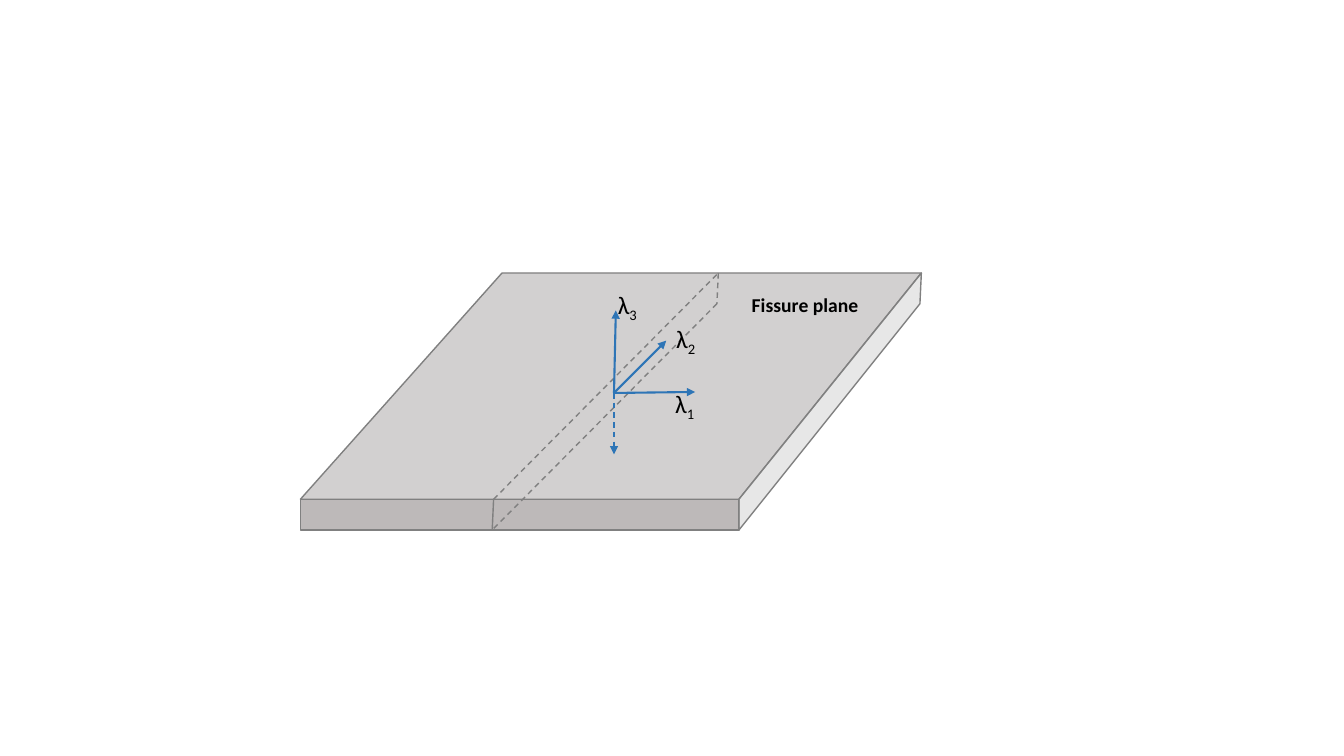
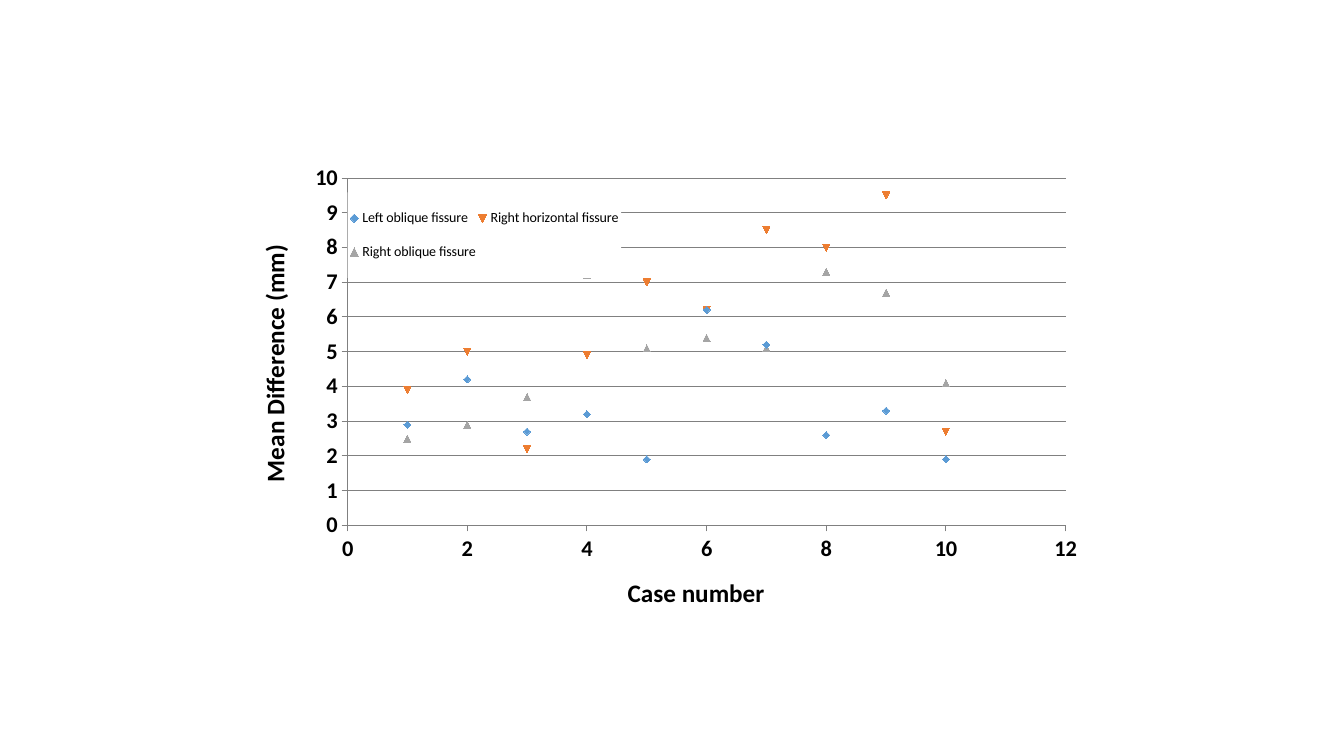
from dataclasses import dataclass

from lxml import etree
from pptx import Presentation
from pptx import util as u
from pptx.chart import data as cd
from pptx.dml import color as co
from pptx.enum import chart as ch, dml, shapes, text
from pptx.oxml import ns


@dataclass(frozen=True)
class Theme:
    font: str = "Calibri"
    ink: str = "000000"
    paper: str = "FFFFFF"
    edge: str = "808080"
    top: str = "D0CECE"
    front: str = "B4B0B0"
    side: str = "D9D9D9"
    arrow: str = "2E75B6"
    series: tuple = ("5B9BD5", "ED7D31", "A5A5A5")
    legend: float = 10
    note: float = 14
    tick: float = 16
    label: float = 18
    thin: float = 1
    thick: float = 1.5


T = Theme()
CASES = range(1, 11)
DIFFERENCES = {
    "Left oblique fissure": (2.9, 4.2, 2.7, 3.2, 1.9, 6.2, 5.2, 2.6, 3.3, 1.9),
    "Right horizontal fissure": (3.9, 5, 2.2, 4.9, 7, 6.2, 8.5, 8, 9.5, 2.7),
    "Right oblique fissure": (2.5, 2.9, 3.7, 7.2, 5.1, 5.4, 5.1, 7.3, 6.7, 4.1),
}


def rgb(value):
    return co.RGBColor.from_string(value)


def set_font(font, size, bold=False):
    font.name, font.size, font.bold = T.font, u.Pt(size), bold
    font.color.rgb = rgb(T.ink)


def add_run(p, words, size, bold=False, baseline=0):
    r = p.add_run()
    r.text = words
    set_font(r.font, size, bold)
    if baseline:
        r._r.get_or_add_rPr().set("baseline", str(baseline * 1000))


def set_line(line, color, width, dashed=False):
    line.color.rgb = rgb(color)
    line.width = u.Pt(width)
    if dashed:
        line.dash_style = dml.MSO_LINE.DASH


def paint_face(sp, color, opacity):
    sp.shadow.inherit = False
    sp.fill.solid()
    sp.fill.fore_color.rgb = rgb(color)
    clr = sp.element.spPr.find(ns.qn("a:solidFill"))[0]
    etree.SubElement(clr, ns.qn("a:alpha")).set("val", str(opacity * 1000))
    set_line(sp.line, T.edge, T.thin)


def add_polygon(group, points, color, opacity):
    points = [(u.Pt(x), u.Pt(y)) for x, y in points]
    builder = group.build_freeform(*points[0], scale=1.0)
    builder.add_line_segments(points[1:], close=True)
    paint_face(builder.convert_to_shape(), color, opacity)


def add_line(group, start, end, color, width, dashed=False, arrow=False):
    ends = [u.Pt(v) for v in (*start, *end)]
    sp = group.add_connector(shapes.MSO_CONNECTOR.STRAIGHT, *ends)
    set_line(sp.line, color, width, dashed)
    spPr = sp.element.spPr
    if arrow:
        ln = spPr.find(ns.qn("a:ln"))
        etree.SubElement(ln, ns.qn("a:tailEnd")).set("type", "triangle")
    etree.SubElement(spPr, ns.qn("a:effectLst"))


def add_label(group, x, y, w, h):
    sp = group.add_textbox(*(u.Pt(v) for v in (x, y, w, h)))
    tf = sp.text_frame
    tf.word_wrap = True
    tf.auto_size = text.MSO_AUTO_SIZE.SHAPE_TO_FIT_TEXT
    return tf.paragraphs[0]


def draw_slab(s, left, top, w, h):
    group = s.shapes.add_group_shape().shapes

    def at(x, y):
        return left + x, top + y

    thickness, front_w = 22, 313.2
    front_y = h - thickness
    back_left, back_right = at(144, 0), at(w, 0)
    front_left, front_right = at(0, front_y), at(front_w, front_y)

    add_polygon(group, [front_left, back_left, back_right, front_right], T.top, 94)
    box = (*front_left, front_w, thickness)
    sp = group.add_shape(shapes.MSO_SHAPE.RECTANGLE, *(u.Pt(v) for v in box))
    paint_face(sp, T.front, 88)
    add_polygon(group, [front_right, back_right, at(w - 1, thickness), at(front_w, h)],
                T.side, 61)

    seam = [at(138, front_y), at(298.5, 0), at(297.5, thickness), at(137, h)]
    for i, start in enumerate(seam):
        end = seam[(i + 1) % len(seam)]
        add_line(group, start, end, T.edge, T.thin, dashed=i < 3)

    origin = at(224, 85.7)
    axes = [("1", (282, 85), (260.6, 78.5)),
            ("2", (261.3, 48.3), (261.3, 32.4)),
            ("3", (225.3, 26.7), (219.6, 7.9))]
    for index, tip, spot in axes:
        add_line(group, origin, at(*tip), T.arrow, T.thick, arrow=True)
        p = add_label(group, *at(*spot), 42.5, 29)
        add_run(p, "λ", T.label)
        add_run(p, index, T.label, baseline=-25)
    add_line(group, origin, at(224, 129.6), T.arrow, T.thin, dashed=True, arrow=True)
    add_run(add_label(group, *at(315.3, 10.8), 105, 24.5), "Fissure plane", T.note, bold=True)


def manual_layout(x, y, w, h, inner=False):
    layout = etree.Element(ns.qn("c:layout"))
    manual = etree.SubElement(layout, ns.qn("c:manualLayout"))
    parts = [("layoutTarget", "inner")] if inner else []
    parts += [("xMode", "edge"), ("yMode", "edge"), ("x", x), ("y", y), ("w", w), ("h", h)]
    for tag, value in parts:
        etree.SubElement(manual, ns.qn("c:" + tag)).set("val", str(value))
    return layout


def place_part(part, position, layout):
    for old in part.findall(ns.qn("c:layout")):
        part.remove(old)
    part.insert(position, layout)


def style_axis(axis, title, maximum, step, grid):
    axis.minimum_scale, axis.maximum_scale, axis.major_unit = 0, maximum, step
    axis.has_major_gridlines = grid
    axis.major_tick_mark = ch.XL_TICK_MARK.OUTSIDE
    axis.minor_tick_mark = ch.XL_TICK_MARK.NONE
    axis.tick_labels.number_format = "General"
    axis.tick_labels.number_format_is_linked = False
    set_font(axis.tick_labels.font, T.tick, bold=True)
    set_line(axis.format.line, T.edge, 0.75)
    if grid:
        set_line(axis.major_gridlines.format.line, T.edge, 0.75)
    add_run(axis.axis_title.text_frame.paragraphs[0], title, T.label, bold=True)


def style_legend(chart):
    chart.has_legend = True
    legend = chart.legend
    legend.position = ch.XL_LEGEND_POSITION.RIGHT
    legend.include_in_layout = False
    set_font(legend.font, T.legend)
    part = chart.element.find(".//" + ns.qn("c:legend"))
    place_part(part, 1, manual_layout(0.12, 0.11, 0.32, 0.18))
    spPr = etree.Element(ns.qn("c:spPr"))
    fill = etree.SubElement(spPr, ns.qn("a:solidFill"))
    etree.SubElement(fill, ns.qn("a:srgbClr")).set("val", T.paper)
    part.find(ns.qn("c:txPr")).addprevious(spPr)


def draw_scatter(s, left, top, w, h):
    data = cd.XyChartData()
    for name, values in DIFFERENCES.items():
        series = data.add_series(name)
        for case, value in zip(CASES, values):
            series.add_data_point(case, value)
    box = [u.Pt(v) for v in (left, top, w, h)]
    chart = s.shapes.add_chart(ch.XL_CHART_TYPE.XY_SCATTER, *box, data).chart
    chart.has_title = False
    set_font(chart.font, T.legend)
    plot = chart.plots[0]
    plot.vary_by_categories = False
    for series, color in zip(plot.series, T.series):
        series.format.line.fill.background()
        marker = series.marker
        marker.style, marker.size = ch.XL_MARKER_STYLE.AUTOMATIC, 5
        marker.format.fill.solid()
        marker.format.fill.fore_color.rgb = rgb(color)
        marker.format.line.fill.background()
    style_axis(chart.category_axis, "Case number", 12, 2, grid=False)
    style_axis(chart.value_axis, "Mean Difference (mm)", 10, 1, grid=True)
    area = chart.element.find(".//" + ns.qn("c:plotArea"))
    place_part(area, 0, manual_layout(0.12, 0.08, 0.84, 0.73, inner=True))
    style_legend(chart)


def main():
    prs = Presentation()
    prs.slide_width, prs.slide_height = u.Pt(960), u.Pt(540)
    regions = [(draw_slab, (214.6, 195, 443.5, 183.6)),
               (draw_scatter, (175, 100, 610.6, 340))]
    for draw, box in regions:
        draw(prs.slides.add_slide(prs.slide_layouts[6]), *box)
    prs.save("out.pptx")


if __name__ == "__main__":
    main()
